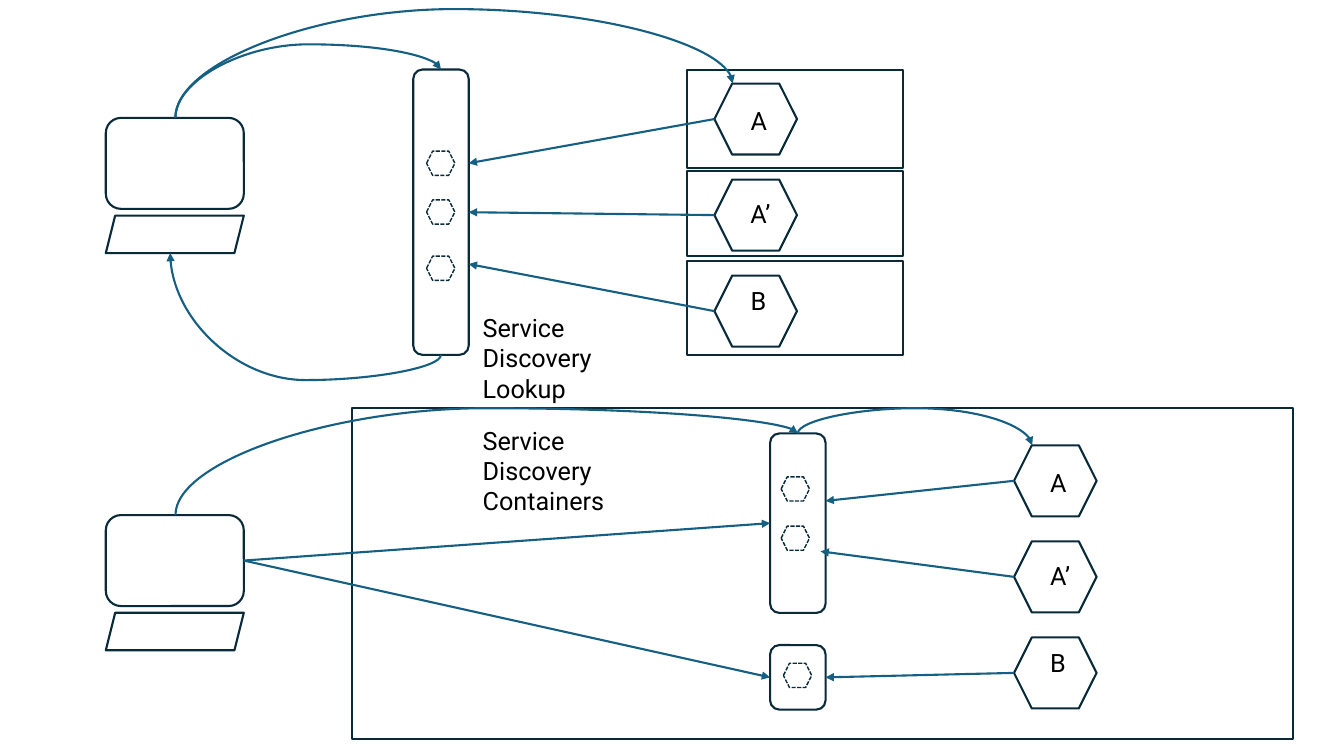
from lxml import etree
from pptx import Presentation
from pptx import util as u
from pptx.dml.color import RGBColor
from pptx.enum import dml, shapes, text
from pptx.oxml.ns import qn

INK, FLOW, BLACK = "092A39", "156082", "000000"
POD_W, POD_H, POD_STEP = 59, 50.7, 68.6
SLOT_W, SLOT_H = 20.2, 17.3
REGISTRY_W = 39.6
SHAPE = shapes.MSO_SHAPE
LEFT, RIGHT = 1, 3


def color(value):
    return RGBColor.from_string(value)


def outline(s, kind, x, y, w, h, weight=1.5, dash=None):
    sp = s.shapes.add_shape(kind, u.Pt(x), u.Pt(y), u.Pt(w), u.Pt(h))
    sp.shadow.inherit = False
    sp.fill.background()
    sp.line.color.rgb = color(INK)
    sp.line.width = u.Pt(weight)
    if dash:
        sp.line.dash_style = dash
    return sp


def label(s, lines, x, y, w, h, wrap=False):
    tf = s.shapes.add_textbox(u.Pt(x), u.Pt(y), u.Pt(w), u.Pt(h)).text_frame
    tf.word_wrap = wrap
    tf.auto_size = text.MSO_AUTO_SIZE.SHAPE_TO_FIT_TEXT
    for i, line in enumerate(lines):
        p = tf.add_paragraph() if i else tf.paragraphs[0]
        r = p.add_run()
        r.text = line
        r.font.name = "Roboto"
        r.font.size = u.Pt(18)
        r.font.color.rgb = color(BLACK)


def arrow(s, start, end, kind=shapes.MSO_CONNECTOR.STRAIGHT):
    cxn = s.shapes.add_connector(kind, *(u.Pt(v) for v in (*start, *end)))
    cxn.line.color.rgb = color(FLOW)
    cxn.line.width = u.Pt(1.5)
    spPr = cxn._element.spPr
    etree.SubElement(spPr.find(qn("a:ln")), qn("a:tailEnd"), type="triangle")
    etree.SubElement(spPr, qn("a:effectLst"))
    return cxn


def arc(s, start, end, turn_y):
    (x1, y1), (x2, y2) = start, end
    w, h = abs(y2 - y1), abs(x2 - x1)
    cxn = arrow(s, start, end, shapes.MSO_CONNECTOR.CURVE)
    cxn.left, cxn.top = u.Pt((x1 + x2 - w) / 2), u.Pt((y1 + y2 - h) / 2)
    cxn.width, cxn.height = u.Pt(w), u.Pt(h)
    spPr = cxn._element.spPr
    xfrm = spPr.find(qn("a:xfrm"))
    xfrm.set("rot", "5400000")
    xfrm.set("flipH", str(int(y2 < y1)))
    xfrm.set("flipV", str(int(x2 > x1)))
    geom = spPr.find(qn("a:prstGeom"))
    guides = geom.find(qn("a:avLst"))
    if guides is None:
        guides = etree.SubElement(geom, qn("a:avLst"))
    bend = round((turn_y - y1) / (y2 - y1) * 100000)
    etree.SubElement(guides, qn("a:gd"), name="adj1", fmla=f"val {bend}")


def laptop(s, x, y):
    screen = outline(s, SHAPE.ROUNDED_RECTANGLE, x, y, 98.6, 65)
    outline(s, SHAPE.PARALLELOGRAM, x, y + 69.8, 98.6, 26.8)
    return screen


def registry(s, x, y, h, slots, inset=9.5):
    sp = outline(s, SHAPE.ROUNDED_RECTANGLE, x, y, REGISTRY_W, h)
    for dy in slots:
        outline(s, SHAPE.HEXAGON, x + inset, y + dy, SLOT_W, SLOT_H,
                1, dml.MSO_LINE.SQUARE_DOT)
    return sp


def pods(s, x, y):
    ports = []
    for i, (name, dy, w) in enumerate((("A", 12.2, 25.2), ("A’", 10, 28.8), ("B", 3.6, 25.2))):
        top = y + i * POD_STEP
        outline(s, SHAPE.HEXAGON, x, top, POD_W, POD_H)
        label(s, [name], x + 18.7, top + dy, w, 28.8)
        ports.append((x, top + POD_H / 2))
    return ports


def client_side(s, x, y):
    laptop(s, x, y + 34.5)
    for dy, h in ((0, 70.6), (72.7, 60.5), (136.8, 67)):
        outline(s, SHAPE.RECTANGLE, x + 415.4, y + dy, 154.1, h)
    reg_x = x + 219.6
    reg = registry(s, reg_x, y, 203.8, (58.3, 93.1, 133.3))
    port_a, port_a2, port_b = pods(s, x + 434.7, y + 10)
    side = reg_x + REGISTRY_W
    arrow(s, port_a, (side, y + 66.9))
    arrow(s, port_a2, (side, y + 101.9)).end_connect(reg, RIGHT)
    arrow(s, port_b, (side, y + 138.9))
    user, mid = (x + 49.7, y + 34.5), reg_x + REGISTRY_W / 2
    arc(s, user, (mid, y), y - 18)
    arc(s, (mid, y + 203.8), (x + 46, y + 131), y + 221.8)
    arc(s, user, (x + 447.8, y + 10), y - 43.2)
    label(s, ["Service Discovery", "Lookup"], x + 262.1, y + 169.9, 150, 51, True)


def server_side(s, x, y):
    screen = laptop(s, x, y + 76.3)
    outline(s, SHAPE.RECTANGLE, x + 175.7, y, 672.5, 236.5)
    reg_x = x + 474.5
    group = registry(s, reg_x, y + 18, 128.2, (31, 66.2), 7.9)
    single = registry(s, reg_x, y + 169.2, 46.1, (13,))
    port_a, port_a2, port_b = pods(s, x + 648.7, y + 26.5)
    side = reg_x + REGISTRY_W
    arrow(s, port_a, (side, y + 66.2))
    arrow(s, port_a2, (side - 3.6, y + 102.2))
    arrow(s, port_b, (side, y + 192.2)).end_connect(single, RIGHT)
    for target in (group, single):
        cxn = arrow(s, (x + 98.6, y + 108.8), (reg_x, y + 100))
        cxn.begin_connect(screen, RIGHT)
        cxn.end_connect(target, LEFT)
    entry = (reg_x + REGISTRY_W / 2, y + 18)
    arc(s, (x + 49.7, y + 76.3), entry, y)
    arc(s, entry, (x + 661.7, y + 26.5), y)
    label(s, ["Service Discovery", "Containers"], x + 262.1, y + 8.6, 150, 51, True)


def main():
    prs = Presentation()
    prs.slide_width, prs.slide_height = u.Pt(960), u.Pt(540)
    s = prs.slides.add_slide(prs.slide_layouts[6])
    client_side(s, 75.6, 49.7)
    server_side(s, 75.6, 291.6)
    prs.save("out.pptx")


if __name__ == "__main__":
    main()
